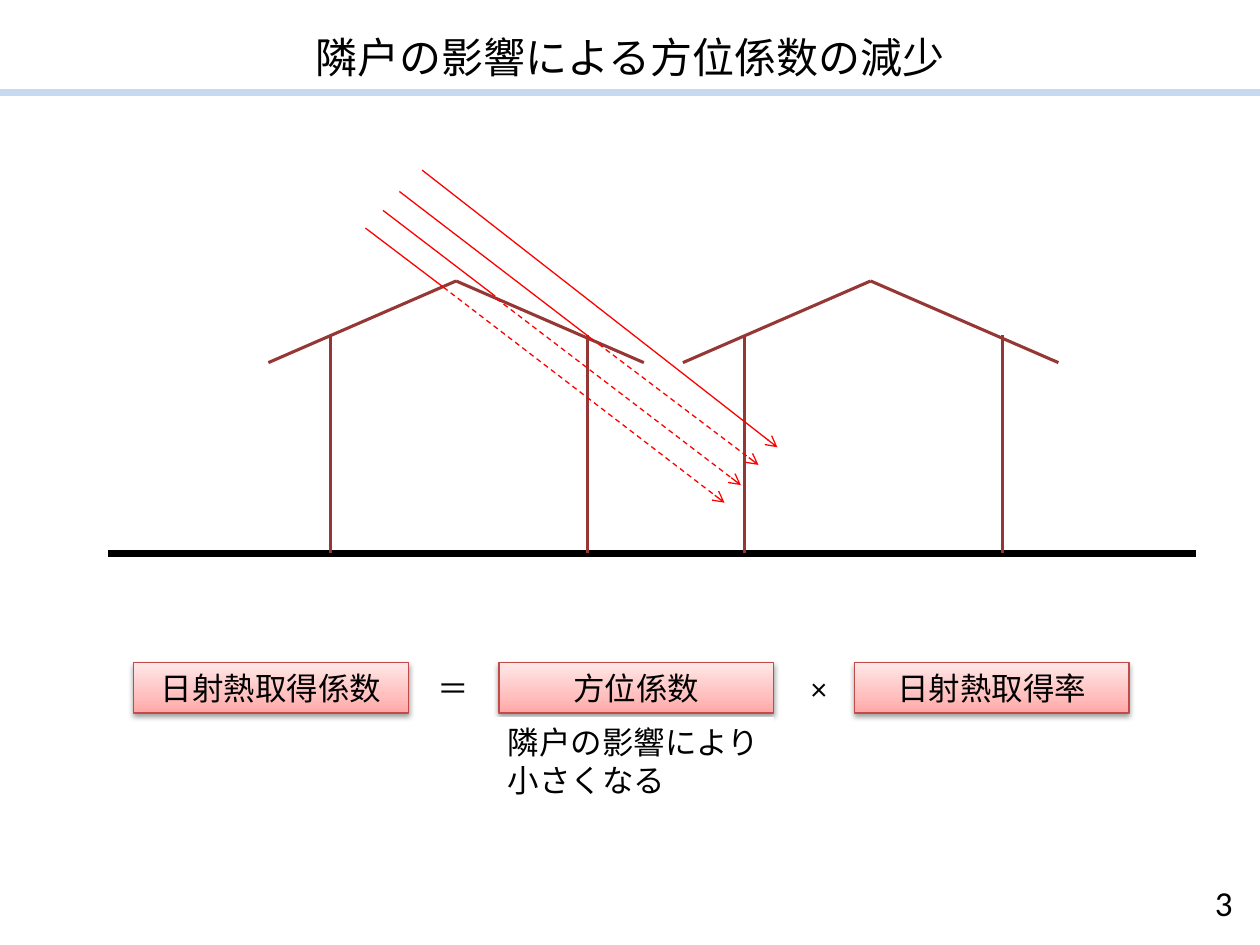
from copy import deepcopy

from lxml import etree
from pptx import Presentation, util as u
from pptx.dml.color import RGBColor
from pptx.enum import dml, shapes, text
from pptx.oxml import parse_xml
from pptx.oxml.ns import nsdecls, qn

BLACK = RGBColor(0, 0, 0)
WHITE = RGBColor(255, 255, 255)
RULE_BLUE = RGBColor(0xC6, 0xD9, 0xF1)
HOUSE_BROWN = RGBColor(0x95, 0x37, 0x35)
SUN_RED = RGBColor(255, 0, 0)
TERM_BORDER = RGBColor(0xBF, 0x4C, 0x48)
TERM_STOPS = [(0, RGBColor(0xFF, 0xA6, 0xA5)),
              (0.35, RGBColor(0xFF, 0xC0, 0xBF)),
              (1, RGBColor(0xFF, 0xE7, 0xE7))]

LATIN, JAPANESE = "Calibri", "Noto Sans CJK JP"
CELL = 0.1  # the slide is a grid of 100 columns by 75 rows
COLUMNS, ROWS = 100, 75


def cells(*counts):
    return [u.Inches(count * CELL) for count in counts]


def set_all(target, values):
    for name, value in values.items():
        setattr(target, name, value)


def write(shape, words, size, align, anchor, latin=LATIN):
    frame = shape.text_frame
    set_all(frame, {"word_wrap": True, "vertical_anchor": anchor})
    paragraph = frame.paragraphs[0]
    paragraph.alignment = align
    run = paragraph.add_run()
    run.text = words
    set_all(run.font, {"size": u.Pt(size), "name": latin})
    run.font.color.rgb = BLACK
    east_asian = etree.Element(qn("a:ea"), typeface=JAPANESE)
    run.font._element.find(qn("a:latin")).addnext(east_asian)


def add_line(slide, start, end, color, width, dashed=False, arrow=False):
    line = slide.shapes.add_connector(
        shapes.MSO_CONNECTOR.STRAIGHT, *cells(*start, *end))
    line.line.color.rgb = color
    line.line.width = u.Pt(width)
    if dashed:
        line.line.dash_style = dml.MSO_LINE.DASH
    properties = line._element.spPr
    if arrow:
        etree.SubElement(properties.find(qn("a:ln")), qn("a:tailEnd"), type="arrow")
    etree.SubElement(properties, qn("a:effectLst"))


def add_box(slide, box, fill=WHITE):
    shape = slide.shapes.add_shape(shapes.MSO_SHAPE.RECTANGLE, *cells(*box))
    shape.shadow.inherit = False
    shape.fill.solid()
    shape.fill.fore_color.rgb = fill
    shape.line.fill.background()
    return shape


def style_term(shape):
    """Pink gradient, thin border and soft shadow of a formula term."""
    shape.fill.gradient()
    shape.fill.gradient_angle = 90
    stop_list = shape._element.spPr.find(qn("a:gradFill")).find(qn("a:gsLst"))
    stop_list.append(deepcopy(stop_list[-1]))
    for stop, (position, color) in zip(shape.fill.gradient_stops, TERM_STOPS):
        stop.position = position
        stop.color.rgb = color
    shape.line.color.rgb = TERM_BORDER
    shape.line.width = u.Pt(0.75)
    shape._element.spPr.find(qn("a:effectLst")).append(parse_xml(
        f'<a:outerShdw {nsdecls("a")} blurRad="{u.Pt(3.1)}" dist="{u.Pt(1.6)}" '
        'dir="5400000" rotWithShape="0"><a:srgbClr val="000000">'
        '<a:alpha val="38000"/></a:srgbClr></a:outerShdw>'))


def add_header(slide, box):
    left, top, width, height = box
    rule = add_box(slide, (left, top + height + 0.2, width, 0.5), RULE_BLUE)
    rule.line.color.rgb = RULE_BLUE
    rule.line.width = u.Pt(0.75)
    title = slide.shapes.add_textbox(*cells(*box))
    write(title, "隣戸の影響による方位係数の減少", 24, text.PP_ALIGN.CENTER,
          text.MSO_ANCHOR.MIDDLE, JAPANESE)


def add_page_number(slide, box):
    number = slide.shapes.add_textbox(*cells(*box))
    write(number, "3", 20, text.PP_ALIGN.RIGHT, text.MSO_ANCHOR.MIDDLE)


def add_house(slide, box):
    left, top, width, height = box
    ridge = (left + width / 2, top)
    for eave_share, wall_share in ((0, 0.165), (1, 0.85)):
        wall = left + wall_share * width
        eave = (left + eave_share * width, top + 0.3 * height)
        add_line(slide, (wall, top + height), (wall, top + 0.2 * height),
                 HOUSE_BROWN, 1.75)
        add_line(slide, eave, ridge, HOUSE_BROWN, 1.75)


def add_sun_rays(slide, box):
    """Each ray runs solid to the roof, then dashed to where it would land."""
    left, top, _, _ = box
    rays = [  # start, roof before and after, landing point
        ((24.9, 0), None, None, (53.1, 22)),
        ((23.1, 1.7), (38.5, 13.5), (38.9, 13.8), (51.6, 23.4)),
        ((21.8, 3.2), (30.7, 10), (30.8, 10.2), (50.2, 25)),
        ((20.4, 4.6), (26.6, 9.3), (26.6, 9.3), (48.9, 26.4)),
    ]
    for ray in rays:
        start, roof, beyond, landing = [
            point and (left + point[0], top + point[1]) for point in ray]
        if roof:
            add_line(slide, start, roof, SUN_RED, 0.75)
            add_line(slide, beyond, landing, SUN_RED, 0.75, True, True)
        else:
            add_line(slide, start, landing, SUN_RED, 0.75, arrow=True)


def add_scene(slide, box):
    left, top, width, height = box
    ground = top + height
    add_line(slide, (left, ground), (left + width, ground), BLACK, 4)
    house_width, house_height = 29.8, 21.6
    for offset in (12.7, 45.6):
        add_house(slide, (left + offset, ground - house_height,
                          house_width, house_height))
    add_sun_rays(slide, box)


def add_formula(slide, box):
    left, top, _, height = box
    row_height, term, sign = 4, 21.8, 5.6
    parts = [("日射熱取得係数", 0, term), ("＝", 22.6, sign),
             ("方位係数", 29, term), ("×", 51.6, sign),
             ("日射熱取得率", 57.2, term)]
    for words, offset, width in parts:
        part = add_box(slide, (left + offset, top, width, row_height))
        if width == term:
            style_term(part)
        write(part, words, 18, text.PP_ALIGN.CENTER, text.MSO_ANCHOR.TOP)
    # Remark under the orientation factor
    remark = add_box(slide, (left + 28.7, top + 4.3, 22.1, height - 4.3))
    write(remark, "隣戸の影響により小さくなる", 18,
          text.PP_ALIGN.LEFT, text.MSO_ANCHOR.TOP)


def main():
    deck = Presentation()
    deck.slide_width, deck.slide_height = cells(COLUMNS, ROWS)
    slide = deck.slides.add_slide(deck.slide_layouts[6])
    add_header(slide, (0, 2.1, COLUMNS, 4.8))
    add_page_number(slide, (91.3, 69.6, 7.5, 4))
    add_scene(slide, (8.6, 13.5, 86.3, 30.4))
    add_formula(slide, (10.6, 52.6, 79, 11.4))
    deck.save("out.pptx")


if __name__ == "__main__":
    main()
